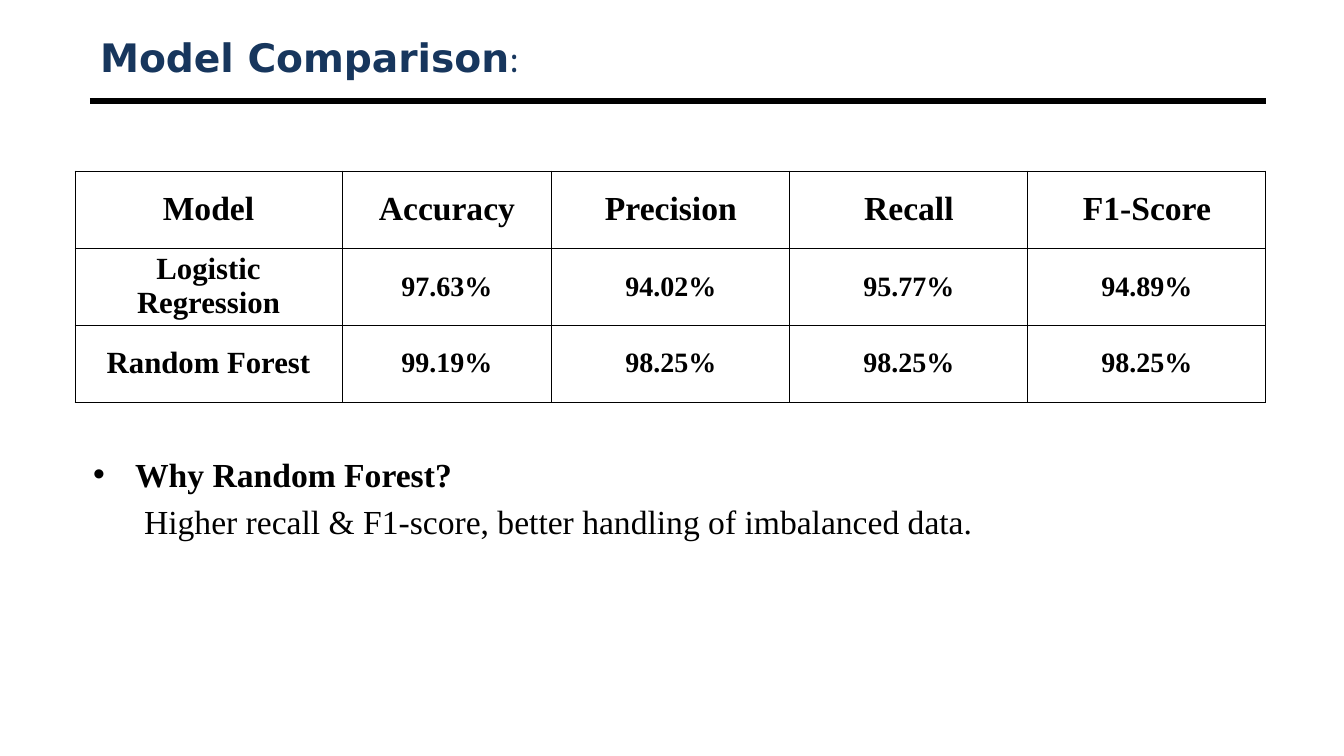
from dataclasses import dataclass

from lxml import etree
from pptx import Presentation
from pptx.dml.color import RGBColor
from pptx.enum.shapes import MSO_CONNECTOR
from pptx.enum.text import MSO_ANCHOR, MSO_AUTO_SIZE, PP_ALIGN
from pptx.oxml import parse_xml
from pptx.oxml.ns import nsdecls, qn
from pptx.util import Pt

STRAIGHT = MSO_CONNECTOR.STRAIGHT
TOP, MIDDLE = MSO_ANCHOR.TOP, MSO_ANCHOR.MIDDLE
LEFT, CENTER = PP_ALIGN.LEFT, PP_ALIGN.CENTER
NO_FIT = MSO_AUTO_SIZE.NONE
EMU_PER_INCH = 914400
PX_PER_INCH = 100.8


@dataclass(frozen=True)
class Theme:
    ink: str = "000000"
    heading: str = "17365D"
    title_font: str = "DejaVu Sans"
    colon_font: str = "Cambria"
    text_font: str = "Times New Roman"
    title_size: int = 28
    body_size: int = 24
    model_size: int = 22
    value_size: int = 20
    rule_width: float = 4.5
    border_width: float = 0.75


def px(length):
    return round(length * EMU_PER_INCH / PX_PER_INCH)


def add_text(para, text, *, font, size, color, bold=False):
    span = para.add_run()
    span.text = text
    span.font.name = font
    span.font.size = Pt(size)
    span.font.bold = bold
    span.font.color.rgb = RGBColor.from_string(color)


class ComparisonPage:
    """Draws the elements of one slide in a shared theme."""

    def __init__(self, deck, theme):
        self.theme = theme
        self.page = deck.slides.add_slide(deck.slide_layouts[1])

    def place(self, box, left, top, width, height, anchor):
        box.left, box.top = px(left), px(top)
        box.width, box.height = px(width), px(height)
        frame = box.text_frame
        frame.word_wrap = True
        frame.auto_size = NO_FIT
        frame.vertical_anchor = anchor
        return frame

    def title(self, text, *area):
        theme = self.theme
        para = self.place(self.page.shapes.title, *area, MIDDLE).paragraphs[0]
        para.alignment = LEFT
        style = {"size": theme.title_size, "color": theme.heading}
        add_text(para, text, font=theme.title_font, bold=True, **style)
        add_text(para, ":", font=theme.colon_font, **style)

    def rule(self, left, right, y):
        line = self.page.shapes.add_connector(STRAIGHT, px(left), px(y), px(right), px(y))
        line.line.color.rgb = RGBColor.from_string(self.theme.ink)
        line.line.width = Pt(self.theme.rule_width)
        etree.SubElement(line._element.spPr, qn("a:effectLst"))

    def table(self, rows, left, top, widths, row_height):
        theme = self.theme
        table = self.page.shapes.add_table(
            len(rows), len(widths), px(left), px(top),
            px(sum(widths)), px(row_height * len(rows))).table
        for column, width in zip(table.columns, widths):
            column.width = px(width)
        for row_index, row in enumerate(rows):
            table.rows[row_index].height = px(row_height)
            for column_index, text in enumerate(row):
                if row_index == 0:
                    size = theme.body_size
                else:
                    size = theme.value_size if column_index else theme.model_size
                self.cell(table.cell(row_index, column_index), text, size)

    def cell(self, cell, text, size):
        theme = self.theme
        cell.fill.background()
        cell.vertical_anchor = MIDDLE
        cell.margin_top = cell.margin_bottom = 0
        para = cell.text_frame.paragraphs[0]
        para.alignment = CENTER
        add_text(para, text, font=theme.text_font, size=size, color=theme.ink, bold=True)
        properties = cell._tc.get_or_add_tcPr()
        for position, side in enumerate("LRTB"):
            properties.insert(position, parse_xml(
                f'<a:ln{side} {nsdecls("a")} w="{Pt(theme.border_width)}"><a:solidFill>'
                f'<a:srgbClr val="{theme.ink}"/></a:solidFill></a:ln{side}>'))

    def body(self, question, answer, *area):
        theme = self.theme
        frame = self.place(self.page.placeholders[1], *area, TOP)
        lines = (
            (frame.paragraphs[0], question, True, 50, -42),
            (frame.add_paragraph(), answer, False, 59, 0),
        )
        for para, text, bulleted, margin, indent in lines:
            para.alignment = LEFT
            para.space_before = Pt(4.8)
            add_text(para, text, font=theme.text_font, size=theme.body_size,
                     color=theme.ink, bold=bulleted)
            properties = para._p.get_or_add_pPr()
            properties.set("marL", str(px(margin)))
            properties.set("indent", str(px(indent)))
            if bulleted:
                etree.SubElement(properties, qn("a:buChar"), char="•")
            else:
                etree.SubElement(properties, qn("a:buNone"))


def main():
    deck = Presentation()
    deck.slide_width, deck.slide_height = px(1344), px(756)
    page = ComparisonPage(deck, Theme())
    page.rule(90, 1266, 101)
    page.title("Model Comparison", 90, 30, 1176, 54)
    page.body("Why Random Forest?",
              "Higher recall & F1-score, better handling of imbalanced data.",
              75, 449, 1191, 179)
    page.table([
        ("Model", "Accuracy", "Precision", "Recall", "F1-Score"),
        ("Logistic Regression", "97.63%", "94.02%", "95.77%", "94.89%"),
        ("Random Forest", "99.19%", "98.25%", "98.25%", "98.25%"),
    ], 75, 171, (267, 210, 238, 238, 238), 77)
    deck.save("out.pptx")


if __name__ == "__main__":
    main()
